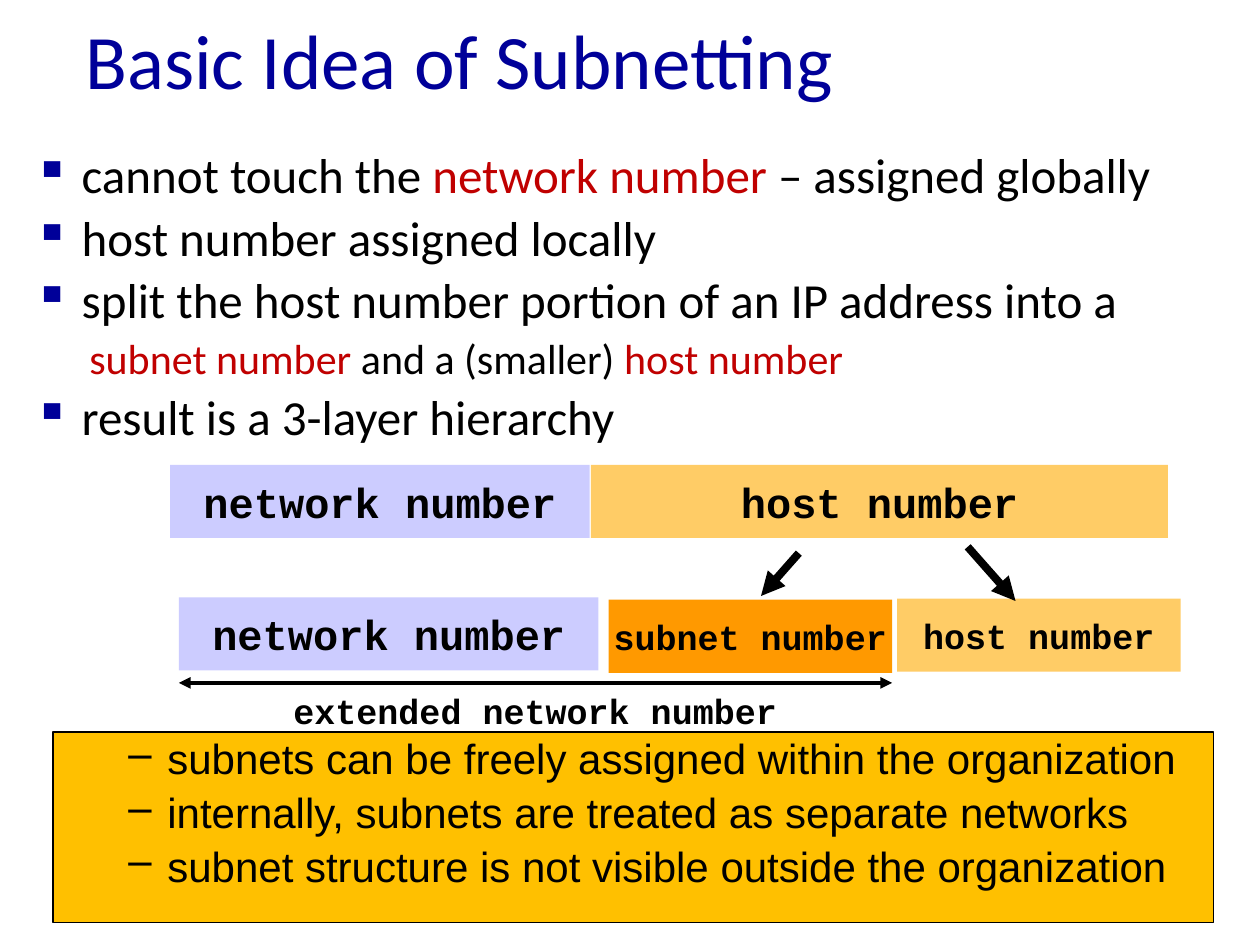
from lxml.etree import SubElement
from pptx import Presentation
from pptx.dml.color import RGBColor
from pptx.enum.shapes import MSO_CONNECTOR as CONN, MSO_SHAPE as SHAPE
from pptx.enum.text import MSO_ANCHOR as ANCHOR, PP_ALIGN as ALIGN
from pptx.oxml.ns import qn
from pptx.util import Inches, Pt

C = dict(navy="000099", red="C00000", black="000000", gold="FFC000",
         lilac="CCCCFF", sand="FFCC66", orange="FF9900")
MONO = "Courier New"

TITLE = "Basic Idea of Subnetting"
POINTS = [
    (0, [("cannot touch the ", "black"), ("network number ", "red"), ("– assigned globally", "black")]),
    (0, [("host number assigned locally", "black")]),
    (0, [("split the host number portion of an IP address into a", "black")]),
    (1, [("subnet number", "red"), (" and a (smaller) ", "black"), ("host number", "red")]),
    (0, [("result is a 3-layer hierarchy", "black")]),
]
NOTES = [
    "subnets can be freely assigned within the organization",
    "internally, subnets are treated as separate networks",
    "subnet structure is not visible outside the organization",
]
LEVELS = [dict(size=28, left=0.38, hang=0.38, bullet="▪", bullet_color="navy"),
          dict(size=24, left=0.44)]
FIELD_H = 0.58
FIELDS = [
    ("network number", 1.35, 3.69, 3.33, "lilac", 24),
    ("host number", 4.69, 3.69, 4.58, "sand", 24),
    ("subnet number", 4.83, 4.76, 2.25, "orange", 20),
    ("network number", 1.42, 4.74, 3.33, "lilac", 24),
    ("host number", 7.12, 4.75, 2.25, "sand", 20),
]
ARROWS = [
    ((6.34, 4.39), (6.04, 4.73), 4.5, ["tailEnd"]),
    ((7.68, 4.34), (8.06, 4.77), 4.5, ["tailEnd"]),
    ((1.42, 5.42), (7.08, 5.42), 2.25, ["headEnd", "tailEnd"]),
]


def rgb(name):
    return RGBColor.from_string(C[name])


def add_text(tf, runs, size=24, font="Calibri", color="black", bold=False, align=None,
             left=0, hang=0, bullet=None, bullet_color=None, leading=None):
    first = not tf.paragraphs[0].runs
    p = tf.paragraphs[0] if first else tf.add_paragraph()
    pPr = p._p.get_or_add_pPr()
    pPr.set("marL", str(Inches(left)))
    pPr.set("indent", str(-Inches(hang)))
    if bullet_color:
        SubElement(SubElement(pPr, qn("a:buClr")), qn("a:srgbClr"), val=C[bullet_color])
    if bullet:
        SubElement(pPr, qn("a:buChar"), char=bullet)
    p.alignment = align
    if leading:
        p.line_spacing = leading
    if not first:
        p.space_before = Pt(size * 0.2)
    for text, tint in [(runs, color)] if isinstance(runs, str) else runs:
        r = p.add_run()
        r.text = text
        r.font.size, r.font.name, r.font.bold = Pt(size), font, bold
        r.font.color.rgb = rgb(tint)


def add_box(x, y, w, h, fill=None, line=None, anchor=ANCHOR.TOP, wrap=True):
    at = [Inches(v) for v in (x, y, w, h)]
    if fill:
        sp = slide.shapes.add_shape(SHAPE.RECTANGLE, *at)
        sp.shadow.inherit = False
        sp.fill.solid()
        sp.fill.fore_color.rgb = rgb(fill)
        if line:
            sp.line.color.rgb, sp.line.width = rgb(line), Pt(0.75)
        else:
            sp.line.fill.background()
    else:
        sp = slide.shapes.add_textbox(*at)
    tf = sp.text_frame
    tf.word_wrap, tf.vertical_anchor = wrap, anchor
    return tf


def add_arrow(start, end, width, heads):
    cx = slide.shapes.add_connector(CONN.STRAIGHT, *[Inches(v) for v in start + end])
    cx.line.color.rgb, cx.line.width = rgb("black"), Pt(width)
    ln = cx.line._get_or_add_ln()
    for head in heads:
        SubElement(ln, qn(f"a:{head}"), type="triangle")
    SubElement(cx._element.spPr, qn("a:effectLst"))


prs = Presentation()
prs.slide_width, prs.slide_height = Inches(10), Inches(7.5)
slide = prs.slides.add_slide(prs.slide_layouts[6])

tf = add_box(0.42, 5.81, 9.21, 1.51, fill="gold", line="black")
for note in NOTES:
    add_text(tf, note, font="Arial", align=ALIGN.LEFT, left=0.81, hang=0.31, bullet="–", leading=0.9)

tf = add_box(0.17, 1.15, 9.75, 4.62)
for level, runs in POINTS:
    add_text(tf, runs, leading=0.9, **LEVELS[level])

add_text(add_box(0.58, -0.16, 8.5, 1.25, anchor=ANCHOR.MIDDLE), TITLE, size=44, color="navy")

for text, x, y, w, fill, size in FIELDS:
    tf = add_box(x, y, w, FIELD_H, fill=fill, anchor=ANCHOR.MIDDLE, wrap=False)
    add_text(tf, text, size=size, font=MONO, bold=True, align=ALIGN.CENTER)

for arrow in ARROWS:
    add_arrow(*arrow)

add_text(add_box(2.23, 5.42, 4.08, 0.43), "extended network number", size=20, font=MONO, bold=True)

prs.save("out.pptx")
